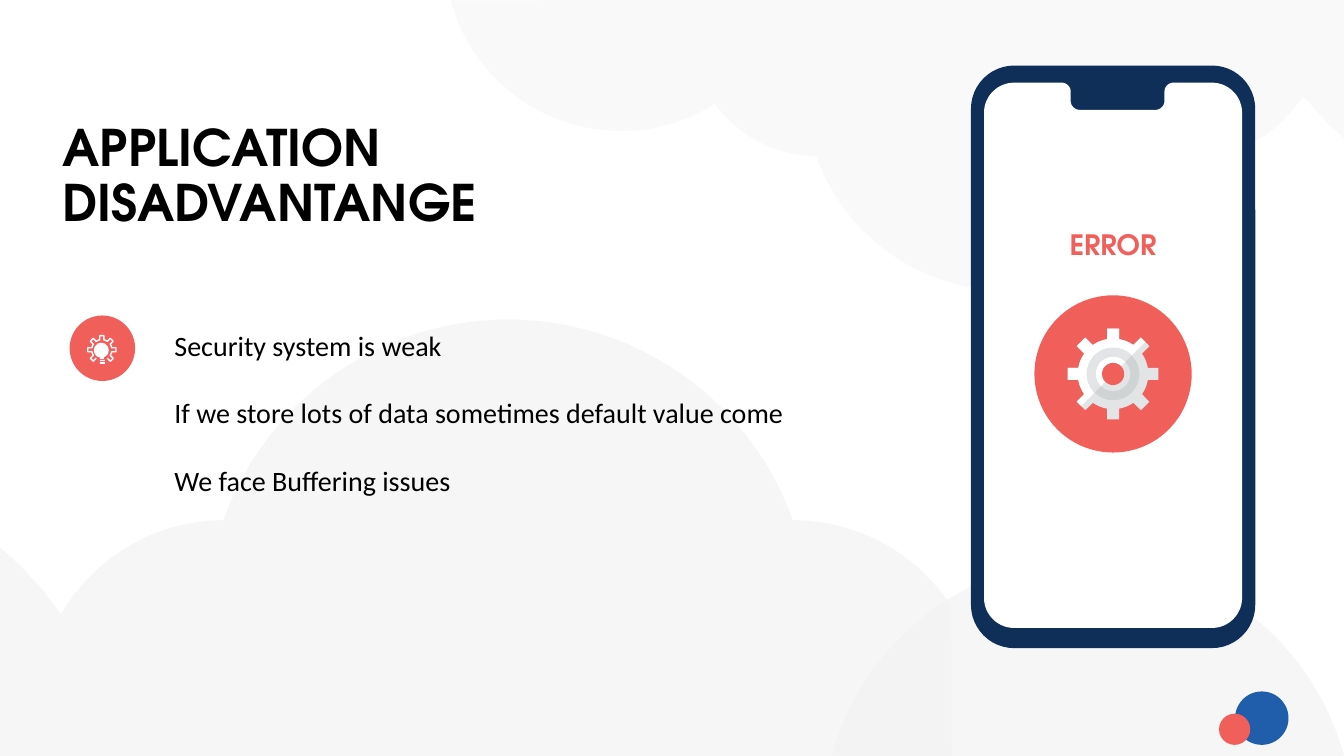
from math import asin, cos, degrees, radians, sin, sqrt

from lxml import etree
from pptx import Presentation
from pptx.dml.color import RGBColor
from pptx.enum.shapes import MSO_SHAPE as Shape
from pptx.enum.text import MSO_ANCHOR as Anchor, MSO_AUTO_SIZE as AutoSize, PP_ALIGN as Align
from pptx.oxml.ns import qn
from pptx.util import Pt

PX = 9144
HEADING_FONT, BODY_FONT = "TeX Gyre Adventor", "Calibri"
BLACK = RGBColor(0x00, 0x00, 0x00)
WHITE = RGBColor(0xFF, 0xFF, 0xFF)
CLOUD = RGBColor(0xF2, 0xF2, 0xF2)
CORAL = RGBColor(0xF1, 0x5F, 0x5B)
BLUE = RGBColor(0x20, 0x5D, 0xAB)
NAVY = RGBColor(0x10, 0x2F, 0x58)
SILVER = RGBColor(0xE2, 0xE4, 0xE5)
STEEL = RGBColor(0xCF, 0xD3, 0xD4)


def arc(x, y, radius, start, end):
    """Return points along a circle, with angles in degrees clockwise from the right."""
    steps = max(8, int(abs(end - start) / 3))
    angles = [radians(start + (end - start) * step / steps) for step in range(steps + 1)]
    return [(x + radius * cos(angle), y + radius * sin(angle)) for angle in angles]


def gear(x, y, body, tip, half_width):
    """Return eight points per tooth and gap, for eight teeth from the lower left one."""
    points = []
    shoulder = sqrt(body ** 2 - half_width ** 2)
    edge = degrees(asin(half_width / body))
    tooth = [(shoulder, -half_width), (tip, -half_width), (tip, 0),
             (tip, half_width), (shoulder, half_width)]
    for angle in range(135, 495, 45):
        turn = radians(angle)
        points += [(x + along * cos(turn) - across * sin(turn),
                    y + along * sin(turn) + across * cos(turn)) for along, across in tooth]
        for quarter in (1, 2, 3):
            gap = radians(angle + edge + (45 - 2 * edge) * quarter / 4)
            points.append((x + body * cos(gap), y + body * sin(gap)))
    return points


def format_text(frame, paragraphs, font=BODY_FONT, size=20, color=BLACK, bold=False,
                align=Align.LEFT, anchor=Anchor.TOP, line_spacing=1, space_after=0):
    """Fill a text frame with paragraphs, each given as a list of lines."""
    frame.margin_left = frame.margin_right = frame.margin_top = frame.margin_bottom = 0
    frame.word_wrap = True
    frame.auto_size = AutoSize.NONE
    frame.vertical_anchor = anchor
    for index, lines in enumerate(paragraphs):
        paragraph = frame.add_paragraph() if index else frame.paragraphs[0]
        paragraph.alignment = align
        paragraph.line_spacing = line_spacing
        paragraph.space_before = Pt(0)
        paragraph.space_after = Pt(space_after)
        properties = paragraph._p.get_or_add_pPr()
        properties.set("marL", "0")
        properties.set("indent", "0")
        etree.SubElement(properties, qn("a:buNone"))
        for number, line in enumerate(lines):
            if number:
                paragraph.add_line_break()
            run = paragraph.add_run()
            run.text = line
            run.font.name = font
            run.font.size = Pt(size)
            run.font.bold = bold
            run.font.color.rgb = color


class SlideBuilder:
    """Hold the current slide and draw its elements in px."""

    def __init__(self, presentation):
        """Add a title and content slide."""
        self.slide = presentation.slides.add_slide(presentation.slide_layouts[1])
        self.shapes = self.slide.shapes

    def paint(self, shape, fill, opacity=100):
        """Give a shape a flat fill without line or shadow."""
        shape.shadow.inherit = False
        shape.line.fill.background()
        shape.fill.solid()
        shape.fill.fore_color.rgb = fill
        if opacity < 100:
            color = shape._element.spPr.find(".//" + qn("a:srgbClr"))
            etree.SubElement(color, qn("a:alpha"), val=str(opacity * 1000))

    def preset(self, kind, left, top, width, height, fill, radius=None):
        """Add a preset shape, with an optional corner radius."""
        shape = self.shapes.add_shape(kind, left * PX, top * PX, width * PX, height * PX)
        if radius is not None:
            shape.adjustments[0] = radius / min(width, height)
        self.paint(shape, fill)

    def circle(self, x, y, radius, fill):
        """Add a circle around a centre."""
        self.preset(Shape.OVAL, x - radius, y - radius, 2 * radius, 2 * radius, fill)

    def outline(self, points, close=True):
        """Add a freeform through the points."""
        scaled = [(x * PX, y * PX) for x, y in points]
        builder = self.shapes.build_freeform(*scaled[0], scale=1.0)
        builder.add_line_segments(scaled[1:], close=close)
        return builder.convert_to_shape()

    def area(self, points, fill, opacity=100):
        """Add a filled freeform."""
        self.paint(self.outline(points), fill, opacity)

    def stroke(self, points, color, width):
        """Add an open line through the points."""
        shape = self.outline(points, close=False)
        shape.shadow.inherit = False
        shape.fill.background()
        shape.line.color.rgb = color
        shape.line.width = Pt(width)

    def placeholder(self, index, left, top, width, height, paragraphs, **style):
        """Move a template placeholder to the front and fill it."""
        shape = self.slide.placeholders[index]
        shape.left, shape.top = left * PX, top * PX
        shape.width, shape.height = width * PX, height * PX
        shape._element.getparent().append(shape._element)
        format_text(shape.text_frame, paragraphs, **style)

    def label(self, left, top, width, height, text, **style):
        """Add a text box with one line."""
        box = self.shapes.add_textbox(left * PX, top * PX, width * PX, height * PX)
        format_text(box.text_frame, [[text]], **style)


def draw_background(builder):
    """Draw the clouds and the corner dots."""
    builder.area(arc(616, -45, 175, 165, 58) + arc(811, 29, 126, 144, 90)
                 + arc(998, 88, 200, 160, 20) + arc(1185, 29, 126, 90, 32)
                 + [(1297, 100), (1318, 124), (1333, 137), (1333, 0)], CLOUD, 42)
    builder.area([(0, 543), (22, 563), (42, 585), (60, 609)]
                 + arc(223, 704, 188, 211, 270) + arc(504, 617, 300, 200, 340)
                 + arc(786, 704, 188, 270, 327) + [(944, 750), (0, 750)], CLOUD, 66)
    builder.area(arc(1079, 818, 263, 195, 345), CLOUD, 66)
    builder.preset(Shape.OVAL, 1225, 686, 53, 53, BLUE)
    builder.preset(Shape.OVAL, 1209, 708, 31, 31, CORAL)


def draw_idea_icon(builder):
    """Draw the light bulb inside an open gear."""
    x, y = 101, 347
    builder.preset(Shape.OVAL, 69, 313, 65, 65, CORAL)
    builder.stroke(gear(x, y, 10, 14, 2)[:53], WHITE, 1)
    builder.preset(Shape.OVAL, 93, 340, 15, 15, WHITE)
    builder.preset(Shape.RECTANGLE, 99, 353, 4, 3, WHITE)
    builder.preset(Shape.ROUNDED_RECTANGLE, 99, 357, 5, 1, WHITE)
    builder.preset(Shape.ROUNDED_RECTANGLE, 99, 359, 5, 2, WHITE)


def draw_phone(builder):
    """Draw the phone with its error message."""
    builder.preset(Shape.ROUNDED_RECTANGLE, 963, 65, 282, 578, NAVY, radius=43)
    builder.area(arc(1202, 112, 30, -90, 0) + arc(1202, 593, 30, 0, 90)
                 + arc(1006, 593, 30, 90, 180) + arc(1006, 112, 30, 180, 270)
                 + arc(1053, 91, 9, -90, 0) + arc(1071, 100, 9, 180, 90)
                 + arc(1146, 100, 9, 90, 0) + arc(1164, 91, 9, 180, 270), WHITE)
    x, y = 1104, 371
    teeth = gear(x, y, 35, 45, 6)
    builder.circle(x, y, 78, CORAL)
    builder.area(teeth, SILVER)
    builder.area(teeth[2:35], WHITE)
    for radius, shade, light in ((26, STEEL, SILVER), (17, SILVER, WHITE)):
        builder.circle(x, y, radius, shade)
        builder.area(arc(x, y, radius, 135, 315), light)
    builder.circle(x, y, 11, CORAL)
    builder.label(1054, 225, 100, 34, "ERROR", font=HEADING_FONT, color=CORAL, bold=True,
                  align=Align.CENTER, anchor=Anchor.MIDDLE)


def main():
    """Build and save the slide."""
    presentation = Presentation()
    presentation.slide_width, presentation.slide_height = 1333 * PX, 750 * PX
    builder = SlideBuilder(presentation)
    draw_background(builder)
    builder.placeholder(0, 62, 122, 657, 109, [["APPLICATION ", "DISADVANTANGE"]],
                        font=HEADING_FONT, size=36, bold=True, anchor=Anchor.MIDDLE,
                        line_spacing=0.9)
    builder.placeholder(1, 173, 326, 740, 202,
                        [["Security system is weak"],
                         ["If we store lots of data sometimes default value come"],
                         ["We face Buffering issues"]], space_after=24)
    draw_idea_icon(builder)
    draw_phone(builder)
    presentation.save("out.pptx")


if __name__ == "__main__":
    main()
